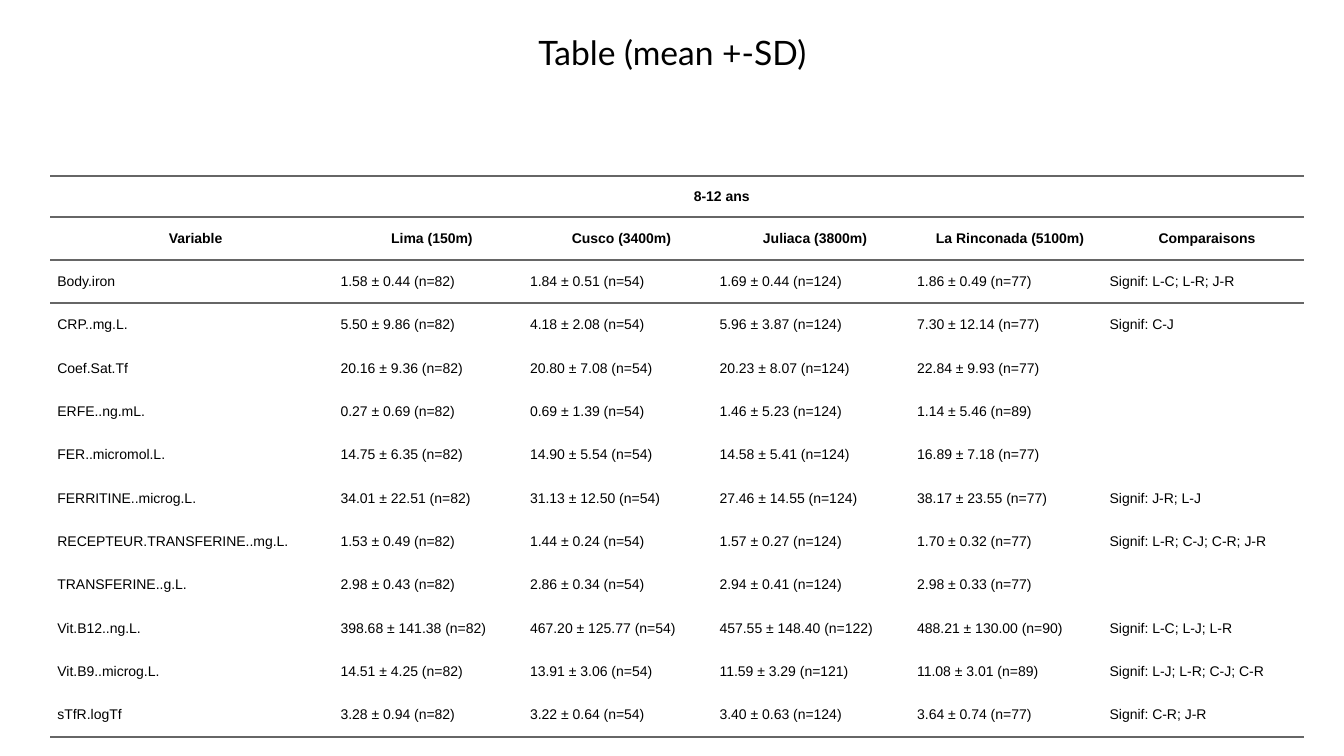
from pptx import Presentation
from pptx.dml.color import RGBColor
from pptx.enum.text import MSO_ANCHOR as Anchor, MSO_AUTO_SIZE as AutoSize, PP_ALIGN as Align
from pptx.oxml import parse_xml
from pptx.oxml.ns import nsdecls
from pptx.util import Pt

BLACK, RULE_GREY = "000000", "666666"
NO_STYLE_NO_GRID = "{2D5ABB26-0587-4C30-8999-92F81FD0307C}"
COLUMN_WIDTHS = (202.32, 135.36, 135.36, 141.12, 137.52, 144)
AGE_ROW_HEIGHT, ROW_HEIGHT = 28.8, 30.96
PADDING = 5

AGE_GROUP = ("", "8-12 ans", "", "", "", "")
HEADINGS = ("Variable", "Lima (150m)", "Cusco (3400m)", "Juliaca (3800m)",
            "La Rinconada (5100m)", "Comparaisons")
RESULTS = [
    ("Body.iron", "1.58 ± 0.44 (n=82)", "1.84 ± 0.51 (n=54)",
     "1.69 ± 0.44 (n=124)", "1.86 ± 0.49 (n=77)", "Signif: L-C; L-R; J-R"),
    ("CRP..mg.L.", "5.50 ± 9.86 (n=82)", "4.18 ± 2.08 (n=54)",
     "5.96 ± 3.87 (n=124)", "7.30 ± 12.14 (n=77)", "Signif: C-J"),
    ("Coef.Sat.Tf", "20.16 ± 9.36 (n=82)", "20.80 ± 7.08 (n=54)",
     "20.23 ± 8.07 (n=124)", "22.84 ± 9.93 (n=77)", ""),
    ("ERFE..ng.mL.", "0.27 ± 0.69 (n=82)", "0.69 ± 1.39 (n=54)",
     "1.46 ± 5.23 (n=124)", "1.14 ± 5.46 (n=89)", ""),
    ("FER..micromol.L.", "14.75 ± 6.35 (n=82)", "14.90 ± 5.54 (n=54)",
     "14.58 ± 5.41 (n=124)", "16.89 ± 7.18 (n=77)", ""),
    ("FERRITINE..microg.L.", "34.01 ± 22.51 (n=82)", "31.13 ± 12.50 (n=54)",
     "27.46 ± 14.55 (n=124)", "38.17 ± 23.55 (n=77)", "Signif: J-R; L-J"),
    ("RECEPTEUR.TRANSFERINE..mg.L.", "1.53 ± 0.49 (n=82)", "1.44 ± 0.24 (n=54)",
     "1.57 ± 0.27 (n=124)", "1.70 ± 0.32 (n=77)", "Signif: L-R; C-J; C-R; J-R"),
    ("TRANSFERINE..g.L.", "2.98 ± 0.43 (n=82)", "2.86 ± 0.34 (n=54)",
     "2.94 ± 0.41 (n=124)", "2.98 ± 0.33 (n=77)", ""),
    ("Vit.B12..ng.L.", "398.68 ± 141.38 (n=82)", "467.20 ± 125.77 (n=54)",
     "457.55 ± 148.40 (n=122)", "488.21 ± 130.00 (n=90)", "Signif: L-C; L-J; L-R"),
    ("Vit.B9..microg.L.", "14.51 ± 4.25 (n=82)", "13.91 ± 3.06 (n=54)",
     "11.59 ± 3.29 (n=121)", "11.08 ± 3.01 (n=89)", "Signif: L-J; L-R; C-J; C-R"),
    ("sTfR.logTf", "3.28 ± 0.94 (n=82)", "3.22 ± 0.64 (n=54)",
     "3.40 ± 0.63 (n=124)", "3.64 ± 0.74 (n=77)", "Signif: C-R; J-R"),
]


def color(hex_value):
    return RGBColor.from_string(hex_value)


def add_run(para, text, font_name, size, bold=False):
    span = para.add_run()
    span.text = text
    span.font.name = font_name
    span.font.size = Pt(size)
    span.font.bold = bold
    span.font.color.rgb = color(BLACK)


def place_title(slide, box, text):
    title = slide.shapes.title
    title.left, title.top, title.width, title.height = map(Pt, box)
    frame = title.text_frame
    frame.auto_size = AutoSize.NONE
    frame.vertical_anchor = Anchor.MIDDLE
    para = frame.paragraphs[0]
    para.alignment = Align.CENTER
    para.line_spacing = 0.9
    add_run(para, text, "Lato", 24)


def fill_cell(cell, text, is_heading):
    cell.fill.background()
    cell.vertical_anchor = Anchor.MIDDLE
    cell.margin_left = cell.margin_right = 0
    cell.margin_top = cell.margin_bottom = Pt(PADDING if text else 0)
    if text:
        para = cell.text_frame.paragraphs[0]
        para.alignment = Align.CENTER if is_heading else Align.LEFT
        properties = para._p.get_or_add_pPr()
        properties.set("marL", str(Pt(PADDING)))
        properties.set("indent", "0")
        add_run(para, text, "Arial", 10, is_heading)


def rule_cell(cell, sides):
    """Draw grey rules on the given sides, named in schema order: T, then B."""
    properties = cell._tc.get_or_add_tcPr()
    for position, side in enumerate(sides):
        properties.insert(position, parse_xml(
            f'<a:ln{side} {nsdecls("a")} w="{Pt(1.5)}"><a:solidFill>'
            f'<a:srgbClr val="{RULE_GREY}"/></a:solidFill></a:ln{side}>'))


def place_results_table(slide, left, top):
    rows = [AGE_GROUP, HEADINGS, *RESULTS]
    heights = [AGE_ROW_HEIGHT] + [ROW_HEIGHT] * (len(rows) - 1)
    frame = slide.shapes.add_table(len(rows), len(HEADINGS), Pt(left), Pt(top),
                                   Pt(sum(COLUMN_WIDTHS)), Pt(sum(heights)))
    frame.element.xpath(".//a:tableStyleId")[0].text = NO_STYLE_NO_GRID
    table = frame.table
    table.first_row = table.horz_banding = False
    for column, width in zip(table.columns, COLUMN_WIDTHS):
        column.width = Pt(width)
    for index, (row, height, texts) in enumerate(zip(table.rows, heights, rows)):
        row.height = Pt(height)
        sides = "T" * (index <= 2) + "B" * (index <= 1 or index == len(rows) - 1)
        for cell, text in zip(row.cells, texts):
            fill_cell(cell, text, index <= 1)
            rule_cell(cell, sides)
    table.cell(0, 1).merge(table.cell(0, 4))


def main():
    deck = Presentation()
    deck.slide_width, deck.slide_height = Pt(960), Pt(540)
    slide = deck.slides.add_slide(deck.slide_layouts[5])
    place_title(slide, (33.12, -12.96, 894.24, 104.4), "Table (mean +-SD)")
    place_results_table(slide, 36, 126)
    deck.save("out.pptx")


if __name__ == "__main__":
    main()
